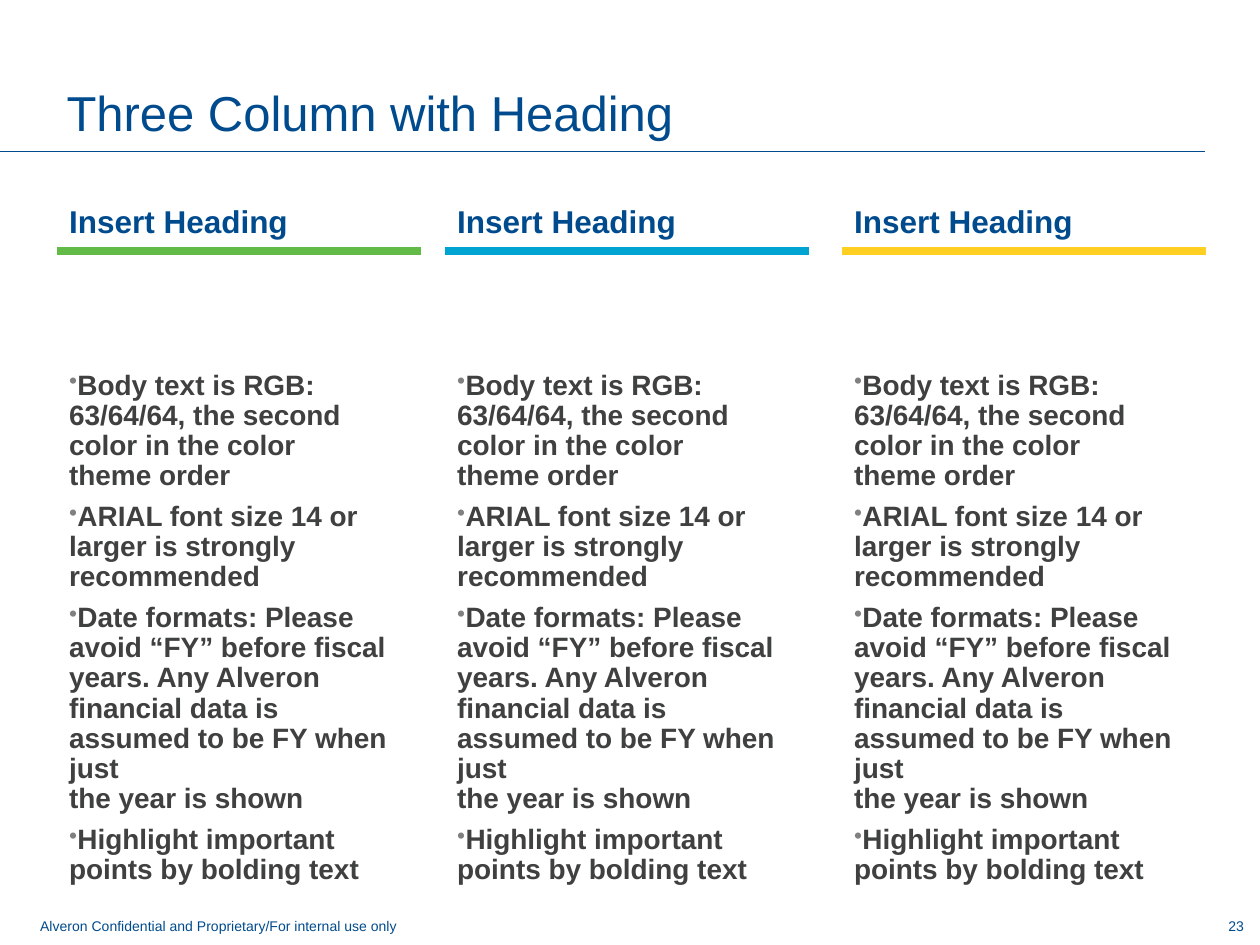
from lxml import etree
from pptx import Presentation
from pptx.dml.color import RGBColor
from pptx.enum.shapes import MSO_CONNECTOR
from pptx.enum.text import MSO_ANCHOR as Anchor, PP_ALIGN as Align
from pptx.oxml.ns import qn
from pptx.util import Inches, Pt

NAVY = RGBColor(0x00, 0x4B, 0x8D)
BODY = RGBColor(0x3F, 0x40, 0x40)
GREEN = RGBColor(0x62, 0xBB, 0x46)
BLUE = RGBColor(0x00, 0xA4, 0xD2)
YELLOW = RGBColor(0xFF, 0xCF, 0x22)
BULLET_GREY = "808080"

COL_W = 2.89
COLUMNS = [(0.45, GREEN), (3.53, BLUE), (6.68, YELLOW)]
TITLE_RULE_Y, HEADING_Y, HEADING_RULE_Y, BODY_Y, FOOTER_Y = 1.2, 1.33, 1.99, 2.08, 7.23
BULLETS = [
    "Body text is RGB: 63/64/64, the second color in the color \vtheme order",
    "ARIAL font size 14 or larger is strongly recommended",
    "Date formats: Please avoid “FY” before fiscal years. Any Alveron "
    "financial data is assumed to be FY when just \vthe year is shown",
    "Highlight important points by bolding text",
]

prs = Presentation()
prs.slide_width, prs.slide_height = Inches(10), Inches(7.5)
s = prs.slides.add_slide(prs.slide_layouts[6])


def add_text(text, box, size, color=NAVY, bold=False, anchor=Anchor.TOP, align=Align.LEFT,
             spacing=1.0, gap=0, top=0.05, right=0.1, bottom=0.05, bullet=False):
    tf = s.shapes.add_textbox(*map(Inches, box)).text_frame
    tf.word_wrap = True
    tf.vertical_anchor = anchor
    tf.margin_top, tf.margin_right, tf.margin_bottom = map(Inches, (top, right, bottom))
    for i, line in enumerate([text] if isinstance(text, str) else text):
        p = tf.add_paragraph() if i else tf.paragraphs[0]
        p.text = line
        p.alignment = align
        p.line_spacing = spacing
        p.space_before = p.space_after = Pt(gap)
        for r in p.runs:
            r.font.name, r.font.size, r.font.bold = "Arial", Pt(size), bold
            r.font.color.rgb = color
        if bullet:
            pPr = p._p.get_or_add_pPr()
            pPr.set("marL", "0")
            pPr.set("indent", "0")
            clr = etree.SubElement(pPr, qn("a:buClr"))
            etree.SubElement(clr, qn("a:srgbClr"), val=BULLET_GREY)
            etree.SubElement(pPr, qn("a:buSzPct"), val="85000")
            etree.SubElement(pPr, qn("a:buChar"), char="•")


def add_rule(x1, x2, y, color, width):
    c = s.shapes.add_connector(MSO_CONNECTOR.STRAIGHT, *map(Inches, (x1, y, x2, y)))
    c.line.color.rgb = color
    c.line.width = Pt(width)
    etree.SubElement(c._element.spPr, qn("a:effectLst"))


add_rule(0, 9.56, TITLE_RULE_Y, NAVY, 0.75)
add_text("Three Column with Heading", (0.43, 0.13, 9.14, 1.04), 28,
         anchor=Anchor.BOTTOM, spacing=0.85)

for x, color in COLUMNS:
    add_text("Insert Heading", (x, HEADING_Y, COL_W, 0.58), 18, bold=True,
             anchor=Anchor.BOTTOM, spacing=0.9, gap=3, top=0.1, bottom=0)
    add_rule(x, x + COL_W, HEADING_RULE_Y, color, 4.5)
    add_text(BULLETS, (x, BODY_Y, COL_W, 4.95), 16, color=BODY, bold=True,
             anchor=Anchor.BOTTOM, spacing=0.9, gap=3, top=0.1, right=0.15, bottom=0,
             bullet=True)

add_text("Alveron Confidential and Proprietary/For internal use only",
         (0.22, FOOTER_Y, 9.12, 0.27), 8)
add_text("23", (9.38, FOOTER_Y + 0.01, 0.59, 0.21), 8, anchor=Anchor.MIDDLE, align=Align.RIGHT)

prs.save("out.pptx")
